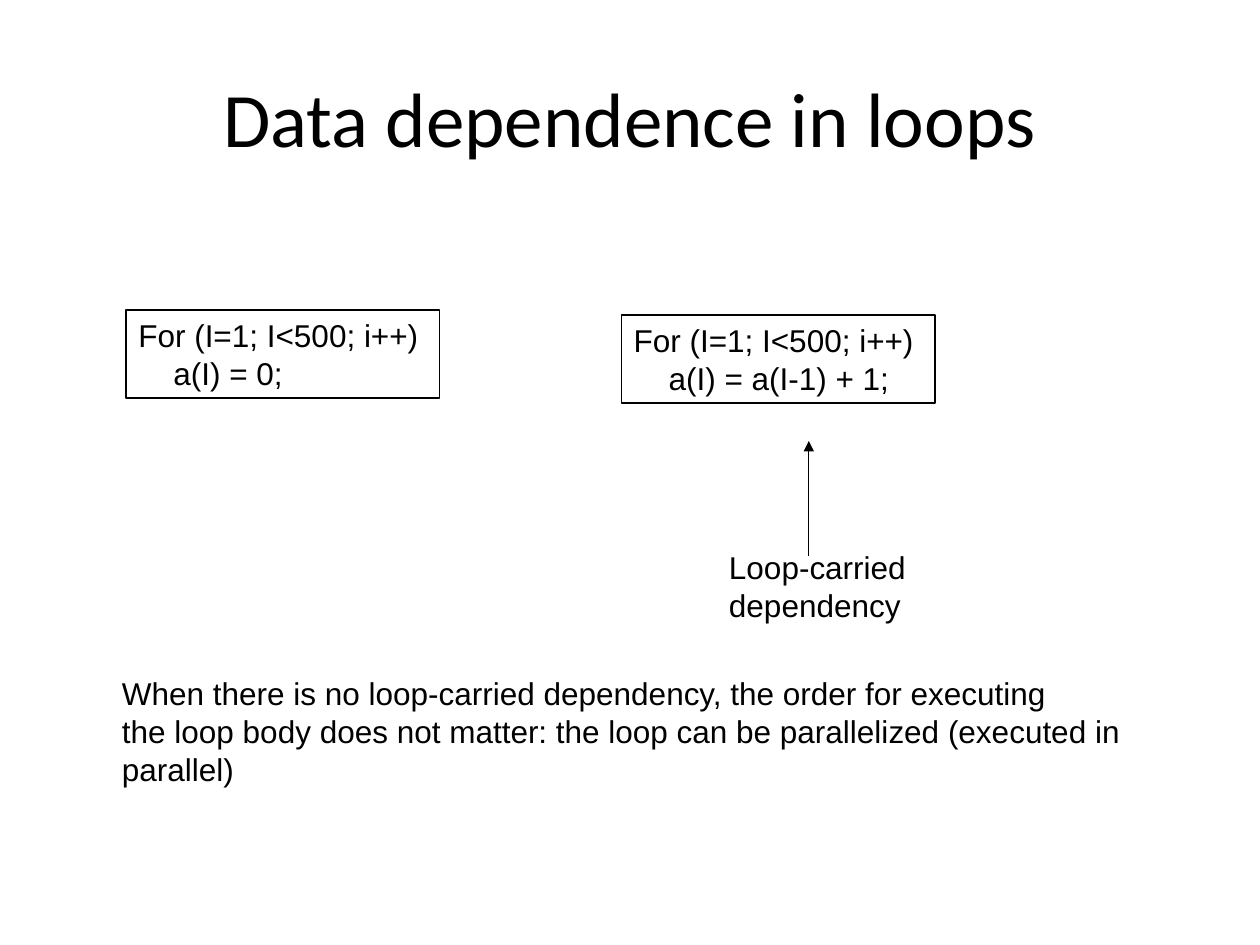
import dataclasses
import lxml.etree
import pptx
import pptx.dml.color
import pptx.enum.shapes
import pptx.enum.text
import pptx.oxml.ns
import pptx.util

Pt = pptx.util.Pt
Align = pptx.enum.text.PP_ALIGN
Anchor = pptx.enum.text.MSO_ANCHOR
INK = "000000"


@dataclasses.dataclass
class Block:
    left: float
    top: float
    width: float
    height: float
    lines: list[str]
    frame: bool = False
    font: str = "Arial"
    size: float = 18
    pitch: float | None = 21.6
    wrap: bool = False
    align: Align = Align.LEFT
    anchor: Anchor = Anchor.TOP


def tint(value: str) -> pptx.dml.color.RGBColor:
    return pptx.dml.color.RGBColor.from_string(value)


def write(slide, block: Block) -> None:
    area = [Pt(n) for n in (block.left, block.top, block.width, block.height)]
    if block.frame:
        shape = slide.shapes.add_shape(
            pptx.enum.shapes.MSO_SHAPE.RECTANGLE, *area)
        shape.shadow.inherit = False
        shape.fill.background()
        shape.line.color.rgb = tint(INK)
        shape.line.width = Pt(0.75)
    else:
        shape = slide.shapes.add_textbox(*area)
    text = shape.text_frame
    text.word_wrap = block.wrap
    text.vertical_anchor = block.anchor
    text.text = "\n".join(block.lines)
    for para in text.paragraphs:
        para.alignment = block.align
        if block.pitch:
            para.line_spacing = Pt(block.pitch)
        para.font.name = block.font
        para.font.size = Pt(block.size)
        para.font.color.rgb = tint(INK)


def arrow(slide, x: float, start: float, end: float) -> None:
    line = slide.shapes.add_connector(
        pptx.enum.shapes.MSO_CONNECTOR.STRAIGHT,
        Pt(x), Pt(start), Pt(x), Pt(end))
    line.line.color.rgb = tint(INK)
    line.line.width = Pt(0.75)
    qn = pptx.oxml.ns.qn
    props = line._element.spPr
    tail = lxml.etree.SubElement(props.find(qn("a:ln")), qn("a:tailEnd"))
    tail.set("type", "triangle")
    lxml.etree.SubElement(props, qn("a:effectLst"))


def main() -> None:
    deck = pptx.Presentation()
    deck.slide_width, deck.slide_height = Pt(720), Pt(540)
    slide = deck.slides.add_slide(deck.slide_layouts[6])
    head = "For (I=1; I<500; i++)"
    blocks = [
        Block(36, 21.6, 648, 90, ["Data dependence in loops"],
              font="Calibri", size=44, pitch=None, wrap=True,
              align=Align.CENTER, anchor=Anchor.MIDDLE),
        Block(72, 177.1, 179.3, 50.4, [head, "    a(I) = 0;"], frame=True),
        Block(355, 180, 179.3, 50.4, [head, "    a(I) = a(I-1) + 1;"],
              frame=True),
        Block(409.5, 309.6, 218.2, 28.8, ["Loop-carried dependency"]),
        Block(62.6, 381.6, 589.7, 72, [
            "When there is no loop-carried dependency, the order for executing",
            "the loop body does not matter: the loop can be parallelized (executed in",
            "parallel)"]),
    ]
    for block in blocks:
        write(slide, block)
    arrow(slide, 462.2, 318, 252)
    deck.save("out.pptx")


if __name__ == "__main__":
    main()
